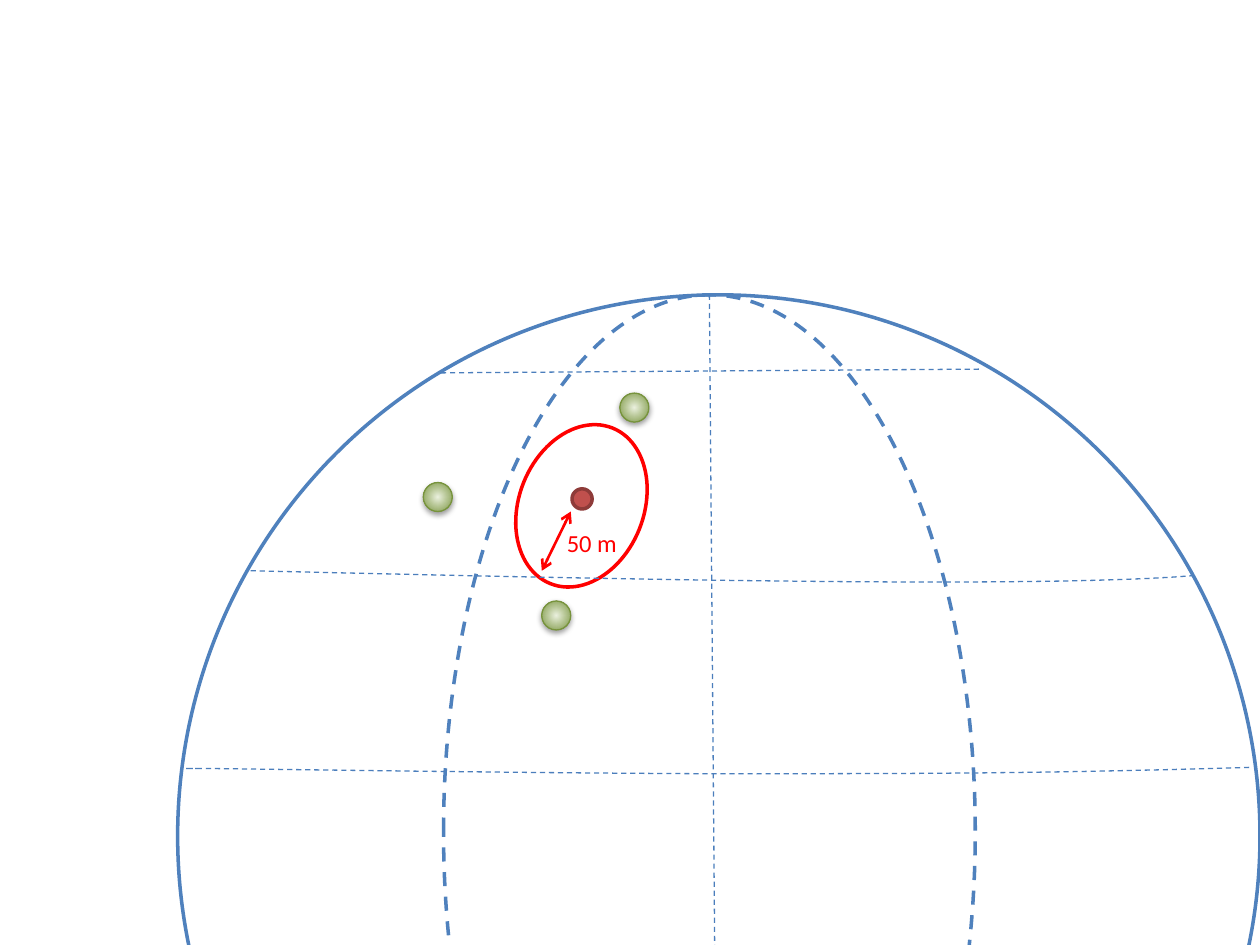
from lxml.etree import SubElement
from pptx import Presentation
from pptx.dml.color import RGBColor
from pptx.enum.dml import MSO_LINE
from pptx.enum.shapes import MSO_CONNECTOR, MSO_SHAPE
from pptx.enum.text import MSO_AUTO_SIZE
from pptx.oxml import parse_xml
from pptx.oxml.ns import nsdecls, qn
from pptx.util import Inches, Pt

COLORS = {
    "white": "FFFFFF",
    "globe": "4F81BD",
    "grid": "4B7EBC",
    "range": "FF0000",
    "target": "C0504D",
    "target_edge": "8E3B39",
    "station_light": "EBF1DE",
    "station": "77933C",
}
CURVE_STEPS = 24
STATION_SIZE = 0.23
STATIONS = [(3.36, 3.83), (4.92, 3.12), (4.3, 4.77)]

# Each parallel is a start point followed by cubic segments
PARALLELS = [
    [(3.5, 2.96), [(4.93, 2.95), (6.36, 2.94), (7.79, 2.93)]],
    [(1.99, 4.53), [(4.91, 4.6), (8.22, 4.67), (9.46, 4.57)]],
    [(1.59, 6.1),
     [(1.25, 6.1), (1.73, 6.1), (1.73, 6.1)],
     [(2.56, 6.11), (5.19, 6.15), (6.56, 6.14)],
     [(7.92, 6.14), (8.92, 6.12), (9.92, 6.09)]],
]


def color(name):
    return RGBColor.from_string(COLORS[name])


def style_line(line, name, width, dashed=False):
    line.color.rgb = color(name)
    line.width = Pt(width)
    if dashed:
        line.dash_style = MSO_LINE.DASH


def add_ellipse(slide, left, top, width, height, edge, line_width=2,
                fill=None, dashed=False, rotation=0):
    shape = slide.shapes.add_shape(
        MSO_SHAPE.OVAL, Inches(left), Inches(top), Inches(width), Inches(height))
    shape.shadow.inherit = False
    shape.rotation = rotation
    if fill:
        shape.fill.solid()
        shape.fill.fore_color.rgb = color(fill)
    else:
        shape.fill.background()
    style_line(shape.line, edge, line_width, dashed)
    return shape


def add_station(slide, left, top):
    shape = add_ellipse(slide, left, top, STATION_SIZE, STATION_SIZE, "station", 0.75)
    properties = shape.element.spPr
    # Radial gradient, light in the middle
    gradient = parse_xml(
        f'<a:gradFill {nsdecls("a")} rotWithShape="1"><a:gsLst>'
        f'<a:gs pos="0"><a:srgbClr val="{COLORS["station_light"]}"/></a:gs>'
        f'<a:gs pos="100000"><a:srgbClr val="{COLORS["station"]}"/></a:gs></a:gsLst>'
        '<a:path path="circle">'
        '<a:fillToRect l="50000" t="50000" r="50000" b="50000"/></a:path></a:gradFill>')
    properties.replace(properties.find(qn("a:noFill")), gradient)
    # Soft shadow below
    properties.find(qn("a:effectLst")).append(parse_xml(
        f'<a:outerShdw {nsdecls("a")} blurRad="40000" dist="20000" dir="5400000" '
        'rotWithShape="0"><a:srgbClr val="000000"><a:alpha val="38000"/></a:srgbClr>'
        '</a:outerShdw>'))


def cubic_point(points, t):
    weights = ((1 - t) ** 3, 3 * t * (1 - t) ** 2, 3 * t ** 2 * (1 - t), t ** 3)
    return tuple(Inches(sum(weight * point[axis] for weight, point in zip(weights, points)))
                 for axis in (0, 1))


def add_parallel(slide, start, *segments):
    points = []
    current = start
    for segment in segments:
        controls = [current, *segment]
        points += [cubic_point(controls, step / CURVE_STEPS)
                   for step in range(1, CURVE_STEPS + 1)]
        current = segment[-1]
    builder = slide.shapes.build_freeform(Inches(start[0]), Inches(start[1]))
    builder.add_line_segments(points, close=False)
    shape = builder.convert_to_shape()
    shape.shadow.inherit = False
    shape.fill.background()
    style_line(shape.line, "grid", 0.75, dashed=True)


def add_line(slide, start, end, name, width, dashed=False, arrows=False):
    connector = slide.shapes.add_connector(
        MSO_CONNECTOR.STRAIGHT, *map(Inches, start), *map(Inches, end))
    style_line(connector.line, name, width, dashed)
    if arrows:
        line = connector.line._get_or_add_ln()
        for tag in ("a:headEnd", "a:tailEnd"):
            SubElement(line, qn(tag), type="arrow")
    SubElement(connector.element.spPr, qn("a:effectLst"))


def add_label(slide, left, top, width, height, text):
    frame = slide.shapes.add_textbox(
        Inches(left), Inches(top), Inches(width), Inches(height)).text_frame
    frame.word_wrap = False
    frame.auto_size = MSO_AUTO_SIZE.SHAPE_TO_FIT_TEXT
    run = frame.paragraphs[0].add_run()
    run.text = text
    run.font.name = "Calibri"
    run.font.size = Pt(14)
    run.font.color.rgb = color("range")


def main():
    presentation = Presentation()
    presentation.slide_width = Inches(10)
    presentation.slide_height = Inches(7.5)
    slide = presentation.slides.add_slide(presentation.slide_layouts[6])

    # Globe, range circle and target
    add_ellipse(slide, 1.41, 2.34, 8.59, 8.59, "globe", fill="white")
    add_ellipse(slide, 4.12, 3.35, 0.99, 1.33, "range", rotation=21.7)
    add_ellipse(slide, 4.54, 3.88, 0.16, 0.16, "target_edge", fill="target")

    # Parallels and meridians
    for parallel in PARALLELS:
        add_parallel(slide, *parallel)
    add_ellipse(slide, 3.52, 2.34, 4.22, 8.52, "globe", dashed=True)
    add_line(slide, (5.63, 2.34), (5.7, 10.94), "grid", 0.75, dashed=True)

    # Radius with its label
    add_line(slide, (4.53, 4.06), (4.3, 4.53), "range", 1.5, arrows=True)
    add_label(slide, 4.4, 4.14, 0.6, 0.34, "50 m")

    # Stations around the target
    for left, top in STATIONS:
        add_station(slide, left, top)

    presentation.save("out.pptx")


if __name__ == "__main__":
    main()
